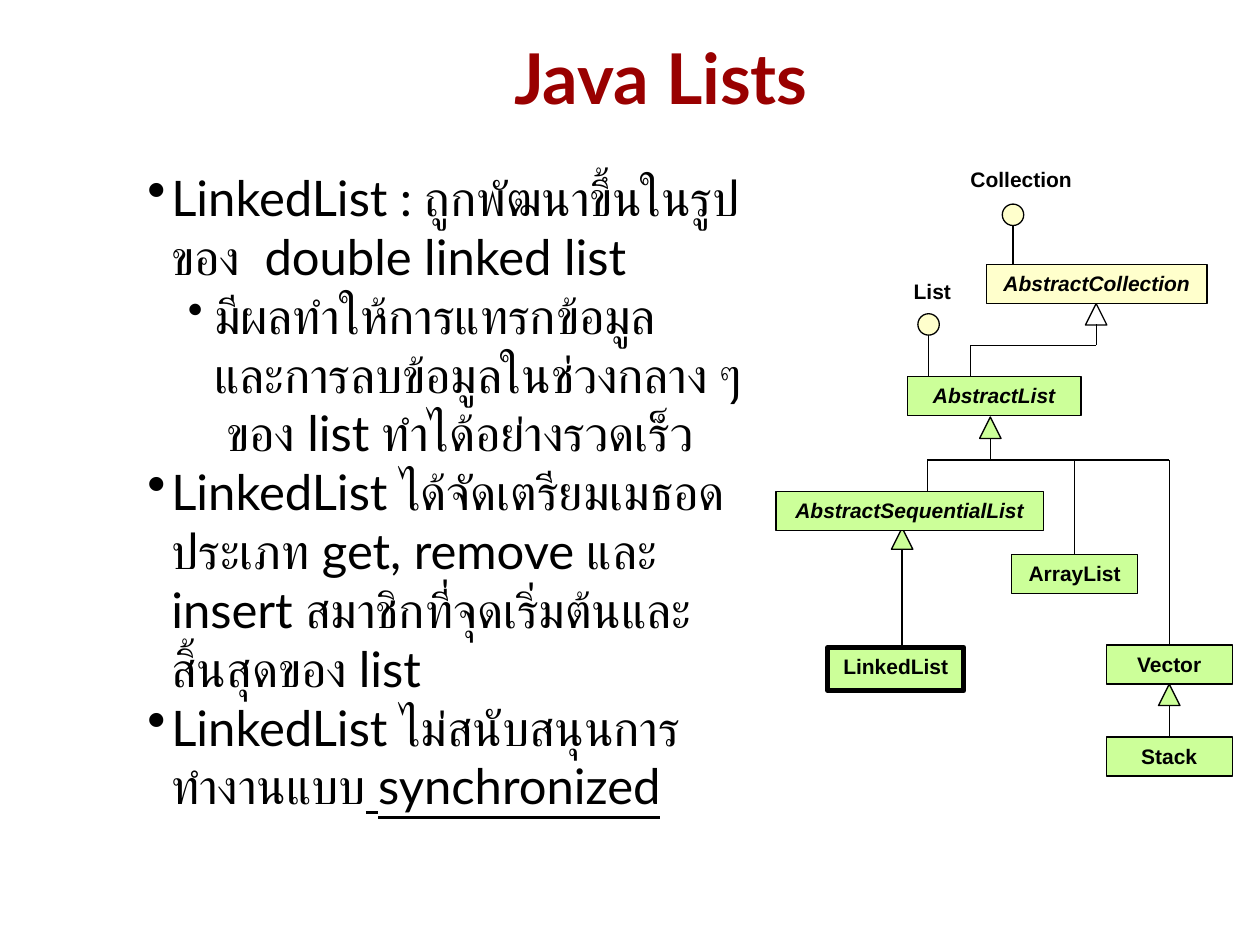
from dataclasses import dataclass
from typing import Optional

from lxml import etree
from pptx import Presentation
from pptx.dml.color import RGBColor
from pptx.enum.shapes import MSO_CONNECTOR, MSO_SHAPE
from pptx.enum.text import MSO_ANCHOR, PP_ALIGN
from pptx.oxml.ns import qn
from pptx.util import Inches, Pt

STRAIGHT = MSO_CONNECTOR.STRAIGHT
RECTANGLE, OVAL = MSO_SHAPE.RECTANGLE, MSO_SHAPE.OVAL
TRIANGLE = MSO_SHAPE.ISOSCELES_TRIANGLE
CENTER, TOP, MIDDLE = PP_ALIGN.CENTER, MSO_ANCHOR.TOP, MSO_ANCHOR.MIDDLE


@dataclass(frozen=True)
class Theme:
    text_font: str = "Lato"
    diagram_font: str = "Arial"
    title_size: int = 40
    body_size: int = 28
    label_size: int = 12
    title: str = "990000"
    ink: str = "000000"
    list_fill: str = "CCFF99"
    collection_fill: str = "FFFFCC"
    line_width: float = 0.75
    marker: float = 0.17


THEME = Theme()


@dataclass(frozen=True)
class Bullet:
    text: str
    underlined: str = ""
    level: int = 0


@dataclass(frozen=True)
class ClassBox:
    name: str
    left: float
    top: float
    width: float = 1.0
    height: float = 0.31
    abstract: bool = False
    fill: str = THEME.list_fill
    border: float = THEME.line_width


@dataclass(frozen=True)
class Marker:
    """Inheritance arrowhead or interface circle, placed by centre and top."""
    shape: MSO_SHAPE
    center: float
    top: float
    fill: Optional[str]


@dataclass(frozen=True)
class InterfaceLabel:
    name: str
    left: float
    top: float
    width: float


@dataclass(frozen=True)
class Link:
    x1: float
    y1: float
    x2: float
    y2: float


# level: (left margin, hanging indent, bullet size in percent)
BULLET_LEVELS = {0: (0.19, 0.19, 110), 1: (0.53, 0.21, 90)}

BULLETS = [
    Bullet("LinkedList : ถูกพัฒนาขึ้นในรูปของ  double linked list"),
    Bullet("มีผลทำให้การแทรกข้อมูล  และการลบข้อมูลในช่วงกลาง ๆ  ของ list ทำได้อย่างรวดเร็ว",
           level=1),
    Bullet("LinkedList ได้จัดเตรียมเมธอดประเภท get, remove และ insert "
           "สมาชิกที่จุดเริ่มต้นและสิ้นสุดของ list"),
    Bullet("LinkedList ไม่สนับสนุนการทำงานแบบ", underlined=" synchronized"),
]

CLASS_BOXES = [
    ClassBox("AbstractCollection", 7.83, 2.1, 1.75, abstract=True,
             fill=THEME.collection_fill),
    ClassBox("AbstractList", 7.2, 2.99, 1.38, abstract=True),
    ClassBox("AbstractSequentialList", 6.16, 3.9, 2.12, abstract=True),
    ClassBox("ArrayList", 8.03, 4.4),
    ClassBox("LinkedList", 6.57, 5.14, 1.08, 0.34, border=3),
    ClassBox("Vector", 8.78, 5.12),
    ClassBox("Stack", 8.78, 5.85),
]

MARKERS = [
    Marker(OVAL, 8.04, 1.62, THEME.collection_fill),
    Marker(OVAL, 7.37, 2.49, THEME.collection_fill),
    Marker(TRIANGLE, 8.7, 2.41, None),
    Marker(TRIANGLE, 7.86, 3.31, THEME.list_fill),
    Marker(TRIANGLE, 7.16, 4.19, THEME.list_fill),
    Marker(TRIANGLE, 9.28, 5.43, THEME.list_fill),
]

INTERFACE_LABELS = [
    InterfaceLabel("Collection", 7.6, 1.27, 1.01),
    InterfaceLabel("List", 7.15, 2.16, 0.5),
]

LINKS = [
    # interfaces to the classes that implement them
    Link(8.04, 1.79, 8.04, 2.12),
    Link(7.37, 2.66, 7.37, 2.99),
    # AbstractList to AbstractCollection
    Link(7.7, 2.99, 7.7, 2.74),
    Link(7.7, 2.74, 8.7, 2.74),
    Link(8.7, 2.74, 8.7, 2.57),
    # subclasses to AbstractList
    Link(7.86, 3.48, 7.86, 3.65),
    Link(7.36, 3.65, 9.28, 3.65),
    Link(7.36, 3.65, 7.36, 3.9),
    Link(8.53, 3.65, 8.53, 4.4),
    Link(9.28, 3.65, 9.28, 5.15),
    # LinkedList and Stack to their parents
    Link(7.16, 4.36, 7.16, 5.16),
    Link(9.28, 5.6, 9.28, 5.85),
]


def rgb(color: str) -> RGBColor:
    return RGBColor.from_string(color)


def style_font(paragraph, name: str, size: int, color: str = THEME.ink,
               bold: bool = False, italic: bool = False) -> None:
    font = paragraph.font
    font.name, font.size = name, Pt(size)
    font.bold, font.italic = bold, italic
    font.color.rgb = rgb(color)


def add_text_frame(slide, left: float, top: float, width: float, height: float):
    """Add a wrapping text box without insets and return its frame."""
    box = slide.shapes.add_textbox(Inches(left), Inches(top), Inches(width), Inches(height))
    frame = box.text_frame
    frame.word_wrap = True
    frame.margin_left = frame.margin_right = frame.margin_top = frame.margin_bottom = 0
    return frame


def add_title(slide, text: str) -> None:
    frame = add_text_frame(slide, 2.33, 0.17, 5.83, 1)
    frame.vertical_anchor = MIDDLE
    title = frame.paragraphs[0]
    title.text, title.alignment, title.line_spacing = text, CENTER, 0.81
    style_font(title, THEME.text_font, THEME.title_size, THEME.title, bold=True)


def set_bullet(paragraph, level: int) -> None:
    margin, hanging, percent = BULLET_LEVELS[level]
    paragraph.level = level
    properties = paragraph._p.get_or_add_pPr()
    properties.set("marL", str(Inches(margin)))
    properties.set("indent", str(-Inches(hanging)))
    color = etree.SubElement(properties, qn("a:buClr"))
    etree.SubElement(color, qn("a:srgbClr"), val=THEME.ink)
    etree.SubElement(properties, qn("a:buSzPct"), val=str(percent * 1000))
    etree.SubElement(properties, qn("a:buChar"), char="•")


def add_bullets(slide, bullets: list[Bullet]) -> None:
    frame = add_text_frame(slide, 1.17, 1.33, 4.75, 5.25)
    for index, bullet in enumerate(bullets):
        paragraph = frame.add_paragraph() if index else frame.paragraphs[0]
        set_bullet(paragraph, bullet.level)
        style_font(paragraph, THEME.text_font, THEME.body_size)
        paragraph.add_run().text = bullet.text
        if bullet.underlined:
            ending = paragraph.add_run()
            ending.text, ending.font.underline = bullet.underlined, True


def add_link(slide, link: Link) -> None:
    connector = slide.shapes.add_connector(
        STRAIGHT, Inches(link.x1), Inches(link.y1), Inches(link.x2), Inches(link.y2))
    connector.line.color.rgb = rgb(THEME.ink)
    connector.line.width = Pt(THEME.line_width)
    etree.SubElement(connector._element.spPr, qn("a:effectLst"))


def add_outlined(slide, kind: MSO_SHAPE, left: float, top: float, width: float,
                 height: float, fill: Optional[str], border: float = THEME.line_width):
    shape = slide.shapes.add_shape(kind, Inches(left), Inches(top), Inches(width), Inches(height))
    shape.shadow.inherit = False
    if fill:
        shape.fill.solid()
        shape.fill.fore_color.rgb = rgb(fill)
    else:
        shape.fill.background()
    shape.line.color.rgb = rgb(THEME.ink)
    shape.line.width = Pt(border)
    return shape


def write_label(frame, name: str, italic: bool = False) -> None:
    frame.vertical_anchor = TOP
    label = frame.paragraphs[0]
    label.text, label.alignment = name, CENTER
    style_font(label, THEME.diagram_font, THEME.label_size, bold=True, italic=italic)


def add_marker(slide, marker: Marker) -> None:
    size = THEME.marker
    add_outlined(slide, marker.shape, marker.center - size / 2, marker.top, size, size,
                 marker.fill)


def add_class_box(slide, box: ClassBox) -> None:
    shape = add_outlined(slide, RECTANGLE, box.left, box.top, box.width, box.height,
                         box.fill, box.border)
    write_label(shape.text_frame, box.name, box.abstract)


def add_interface_label(slide, label: InterfaceLabel) -> None:
    box = slide.shapes.add_textbox(Inches(label.left), Inches(label.top),
                                   Inches(label.width), Inches(0.3))
    box.text_frame.word_wrap = False
    write_label(box.text_frame, label.name)


def main() -> None:
    deck = Presentation()
    deck.slide_width, deck.slide_height = Inches(10), Inches(7.5)
    slide = deck.slides.add_slide(deck.slide_layouts[6])
    add_title(slide, "Java Lists")
    add_bullets(slide, BULLETS)
    for draw, parts in ((add_link, LINKS), (add_marker, MARKERS),
                        (add_class_box, CLASS_BOXES),
                        (add_interface_label, INTERFACE_LABELS)):
        for part in parts:
            draw(slide, part)
    deck.save("out.pptx")


if __name__ == "__main__":
    main()
